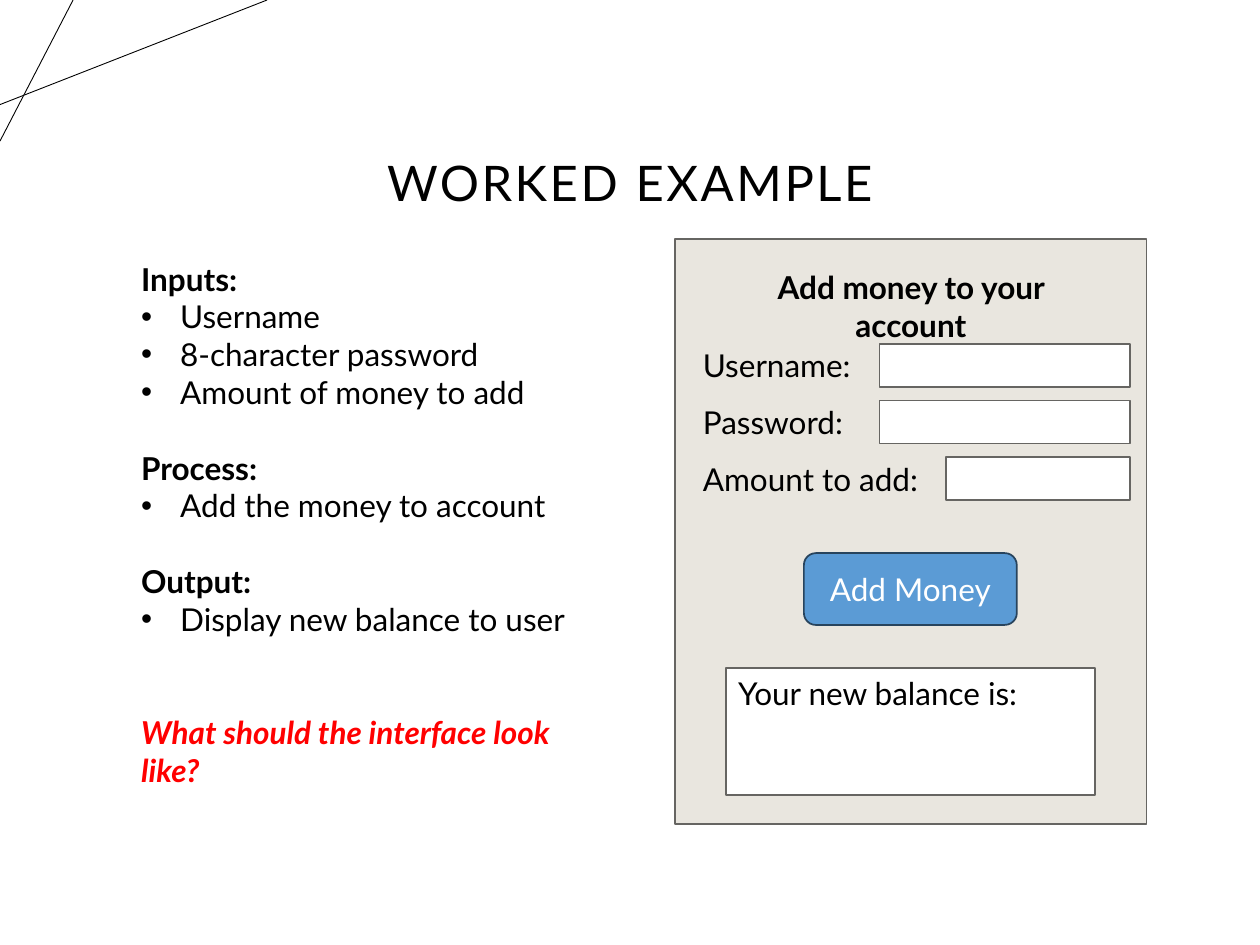
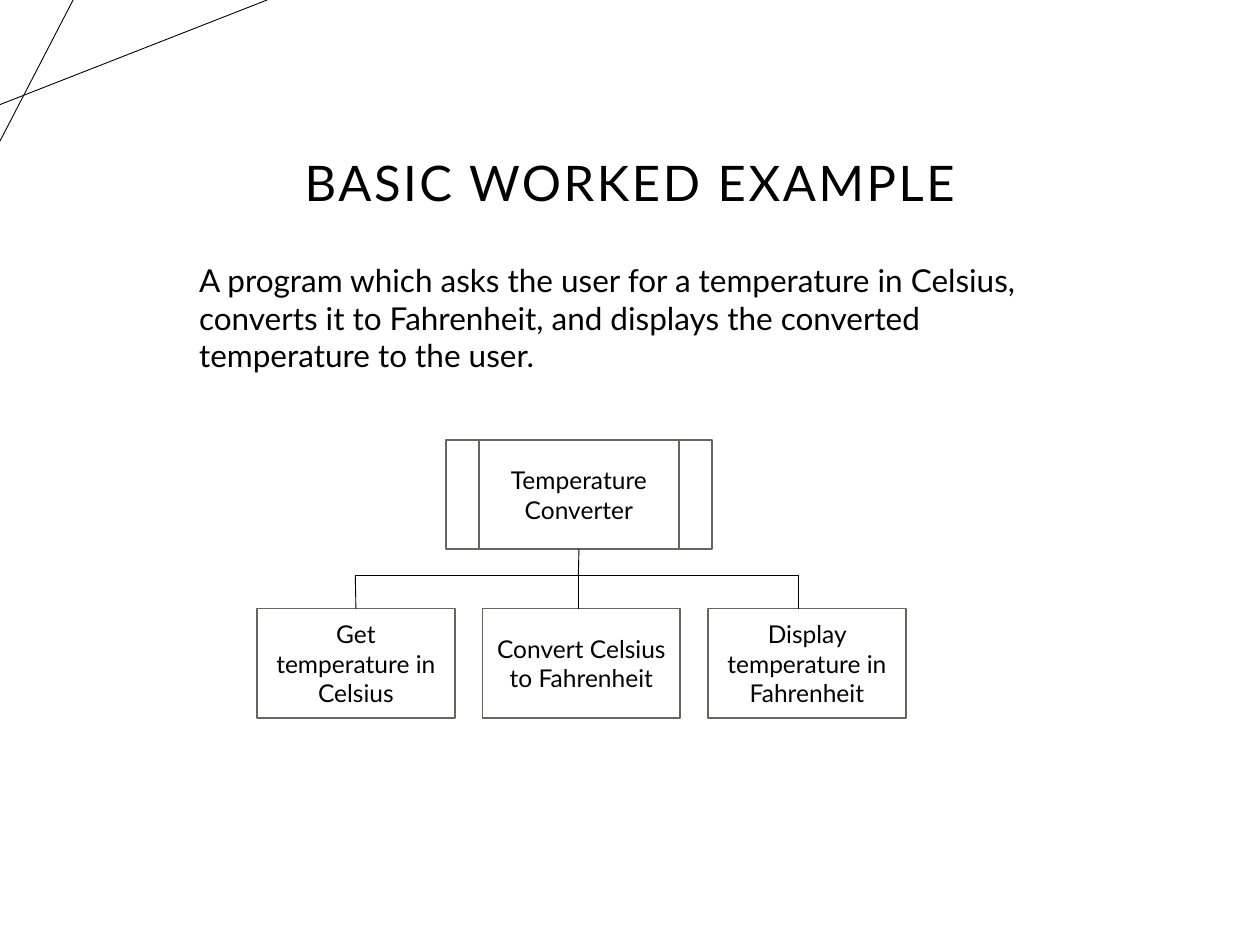
from lxml.etree import SubElement
from pptx import Presentation
from pptx.dml.color import RGBColor
from pptx.enum.shapes import MSO_CONNECTOR, MSO_SHAPE
from pptx.enum.text import MSO_ANCHOR, MSO_AUTO_SIZE, PP_ALIGN
from pptx.oxml.ns import qn
from pptx.util import Inches, Pt

FONT = "Lato"
COLORS = {
    "ink": "000000",
    "paper": "FFFFFF",
    "panel": "E9E6DF",
    "outline": "666562",
    "button": "5B9BD5",
    "button_edge": "28445D",
    "question": "FF0000",
}
LINE_HEIGHT = 21.6  # one line of 18 pt text, in points


def color(name):
    return RGBColor.from_string(COLORS[name])


def style_runs(para, size=18, ink="ink", bold=False, italic=False):
    for span in para.runs:
        span.font.name = FONT
        span.font.size = Pt(size)
        span.font.color.rgb = color(ink)
        span.font.bold = bold
        span.font.italic = italic


def place(box, left, top, width, height):
    box.left, box.top = Inches(left), Inches(top)
    box.width, box.height = Inches(width), Inches(height)


def set_bullet(para, bulleted):
    properties = para._p.get_or_add_pPr()
    indent = Inches(0.31) if bulleted else 0
    properties.set("marL", str(indent))
    properties.set("indent", str(-indent))
    if bulleted:
        SubElement(properties, qn("a:buFont"), typeface="Arial")
        SubElement(properties, qn("a:buChar"), char="•")
    else:
        SubElement(properties, qn("a:buNone"))


def add_line(page, start, end):
    points = [Inches(value) for value in (*start, *end)]
    line = page.shapes.add_connector(MSO_CONNECTOR.STRAIGHT, *points)
    line.line.color.rgb = color("ink")
    line.line.width = Pt(0.5)
    SubElement(line._element.spPr, qn("a:effectLst"))
    return line


def add_page(deck, title):
    """Page with the crossing corner lines and the spaced title."""
    page = deck.slides.add_slide(deck.slide_layouts[1])
    add_line(page, (0, 0.83), (2.12, 0))
    add_line(page, (0.58, 0), (0, 1.12))

    heading = page.shapes.title
    place(heading, 0.69, 0.75, 8.62, 1.45)
    frame = heading.text_frame
    frame.text = title
    frame.auto_size = MSO_AUTO_SIZE.NONE
    frame.vertical_anchor = MSO_ANCHOR.MIDDLE
    para = frame.paragraphs[0]
    para.alignment = PP_ALIGN.CENTER
    para.line_spacing = 0.9
    style_runs(para, 28)
    para.runs[0].font._element.set("spc", "150")
    return page


def fill_body(page, bounds, lines):
    """Each line is (text, bulleted, blank lines before, run style)."""
    body = page.placeholders[1]
    place(body, *bounds)
    frame = body.text_frame
    frame.text = "\n".join(text for text, *_ in lines)
    frame.auto_size = MSO_AUTO_SIZE.NONE
    for para, (_, bulleted, gap, style) in zip(frame.paragraphs, lines):
        para.space_before = Pt(gap * LINE_HEIGHT)
        set_bullet(para, bulleted)
        style_runs(para, **style)


def add_box(page, kind, bounds, text="", size=18, fill="paper",
            edge="outline", ink="ink", align=PP_ALIGN.CENTER,
            anchor=MSO_ANCHOR.MIDDLE):
    box = page.shapes.add_shape(kind, *map(Inches, bounds))
    box.shadow.inherit = False
    box.fill.solid()
    box.fill.fore_color.rgb = color(fill)
    box.line.color.rgb = color(edge)
    box.line.width = Pt(1)
    if text:
        frame = box.text_frame
        frame.text = text
        frame.word_wrap = True
        frame.vertical_anchor = anchor
        frame.paragraphs[0].alignment = align
        style_runs(frame.paragraphs[0], size, ink)
    return box


def add_label(page, bounds, text, wrap=False, bold=False, align=PP_ALIGN.LEFT):
    label = page.shapes.add_textbox(*map(Inches, bounds))
    label.text_frame.text = text
    label.text_frame.word_wrap = wrap
    para = label.text_frame.paragraphs[0]
    para.alignment = align
    style_runs(para, bold=bold)


def build_interface_page(deck):
    page = add_page(deck, "WORKED EXAMPLE")

    # Inputs, process and output
    sections = {
        "Inputs:": ["Username", "8-character password", "Amount of money to add"],
        "Process:": ["Add the money to account"],
        "Output:": ["Display new balance to user"],
    }
    lines = []
    for heading, items in sections.items():
        lines.append((heading, False, 1 if lines else 0, {"bold": True}))
        lines += [(item, True, 0, {}) for item in items]
    lines.append(("What should the interface look like?", False, 2,
                  {"ink": "question", "bold": True, "italic": True}))
    fill_body(page, (1.02, 2.01, 3.62, 4.34), lines)

    # Form panel with its entry fields
    add_box(page, MSO_SHAPE.RECTANGLE, (5.36, 1.9, 3.74, 4.64), fill="panel")
    right = 8.97
    fields = [("Username:", 1.38, 1.99), ("Password:", 1.32, 1.99),
              ("Amount to add:", 1.91, 1.46)]
    for row, (text, label_width, field_width) in enumerate(fields):
        top = 2.73 + 0.45 * row
        add_box(page, MSO_SHAPE.RECTANGLE,
                (right - field_width, top, field_width, 0.34))
        add_label(page, (5.48, top - 0.03, label_width, 0.4), text)

    # Button, result and form heading
    add_box(page, MSO_SHAPE.ROUNDED_RECTANGLE, (6.38, 4.39, 1.69, 0.57),
            "Add Money", fill="button", edge="button_edge", ink="paper")
    add_box(page, MSO_SHAPE.RECTANGLE, (5.76, 5.3, 2.93, 1.01),
            "Your new balance is:", align=PP_ALIGN.LEFT, anchor=MSO_ANCHOR.TOP)
    add_label(page, (5.63, 2.08, 3.2, 0.4), "Add money to your account",
              wrap=True, bold=True, align=PP_ALIGN.CENTER)


def build_structure_page(deck):
    page = add_page(deck, "BASIC WORKED EXAMPLE")
    fill_body(page, (1.48, 2.02, 7.03, 1.01), [
        ("A program which asks the user for a temperature in Celsius, "
         "converts it to Fahrenheit, and displays the converted "
         "temperature to the user.", False, 0, {})])

    # Structure diagram
    program = add_box(page, MSO_SHAPE.FLOWCHART_PREDEFINED_PROCESS,
                      (3.54, 3.49, 2.11, 0.87), "Temperature Converter", 14)
    steps = ["Get temperature in Celsius", "Convert Celsius to Fahrenheit",
             "Display temperature in Fahrenheit"]
    boxes = [add_box(page, MSO_SHAPE.FLOWCHART_PROCESS,
                     (2.04 + 1.79 * column, 4.83, 1.57, 0.87), step, 14)
             for column, step in enumerate(steps)]

    # Branching lines
    branch_top, step_top = 4.57, 4.83
    branches = [2.82, 4.59, 6.34]
    add_line(page, (branches[-1], branch_top), (branches[0], branch_top))
    drops = [add_line(page, (x, step_top), (x, branch_top)) for x in branches]
    drops[0].begin_connect(boxes[0], 0)
    stem = add_line(page, (branches[1], branch_top), (branches[1], 4.36))
    stem.end_connect(program, 2)


def main():
    deck = Presentation()
    deck.slide_width, deck.slide_height = Inches(10), Inches(7.5)
    build_interface_page(deck)
    build_structure_page(deck)
    deck.save("out.pptx")


if __name__ == "__main__":
    main()
